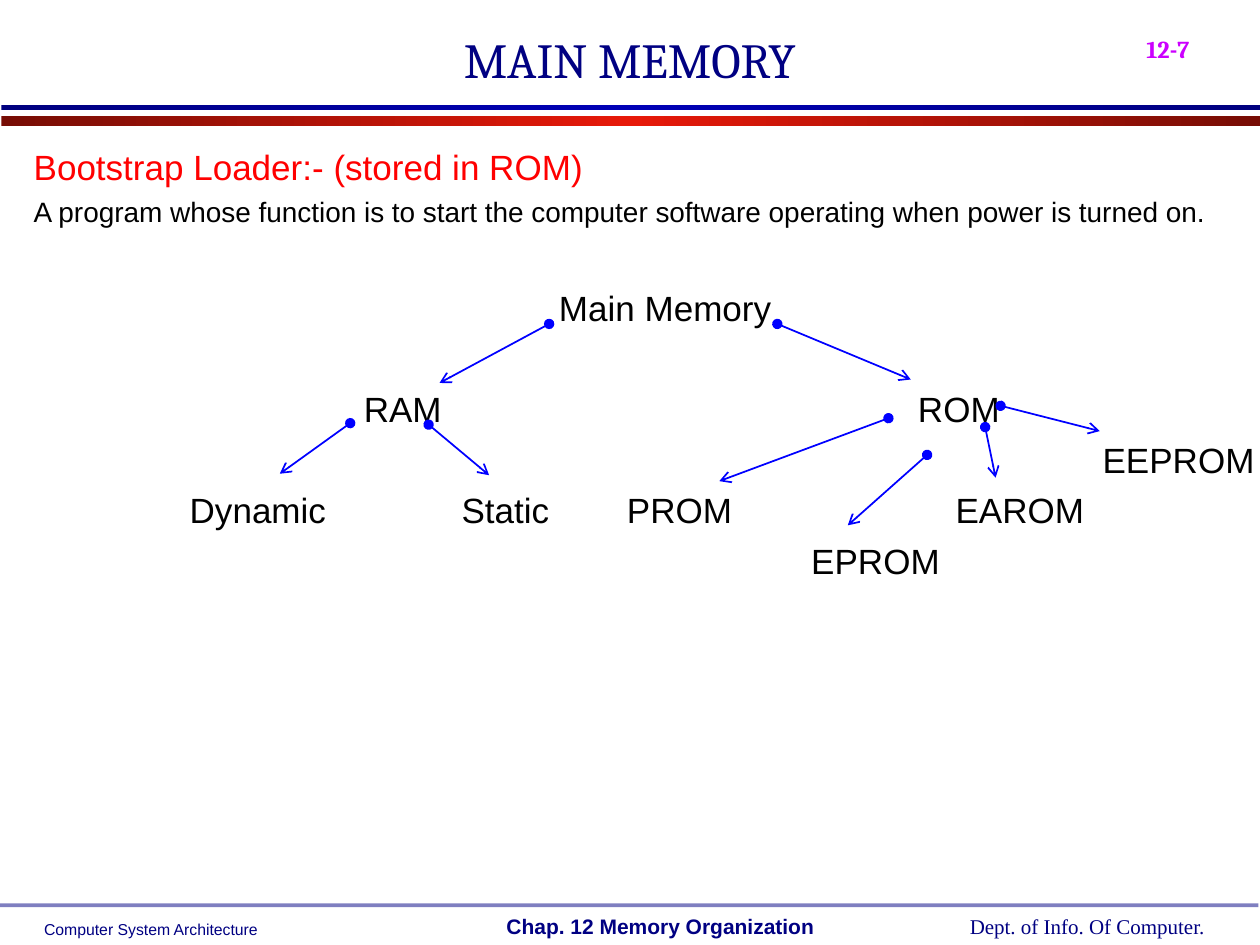
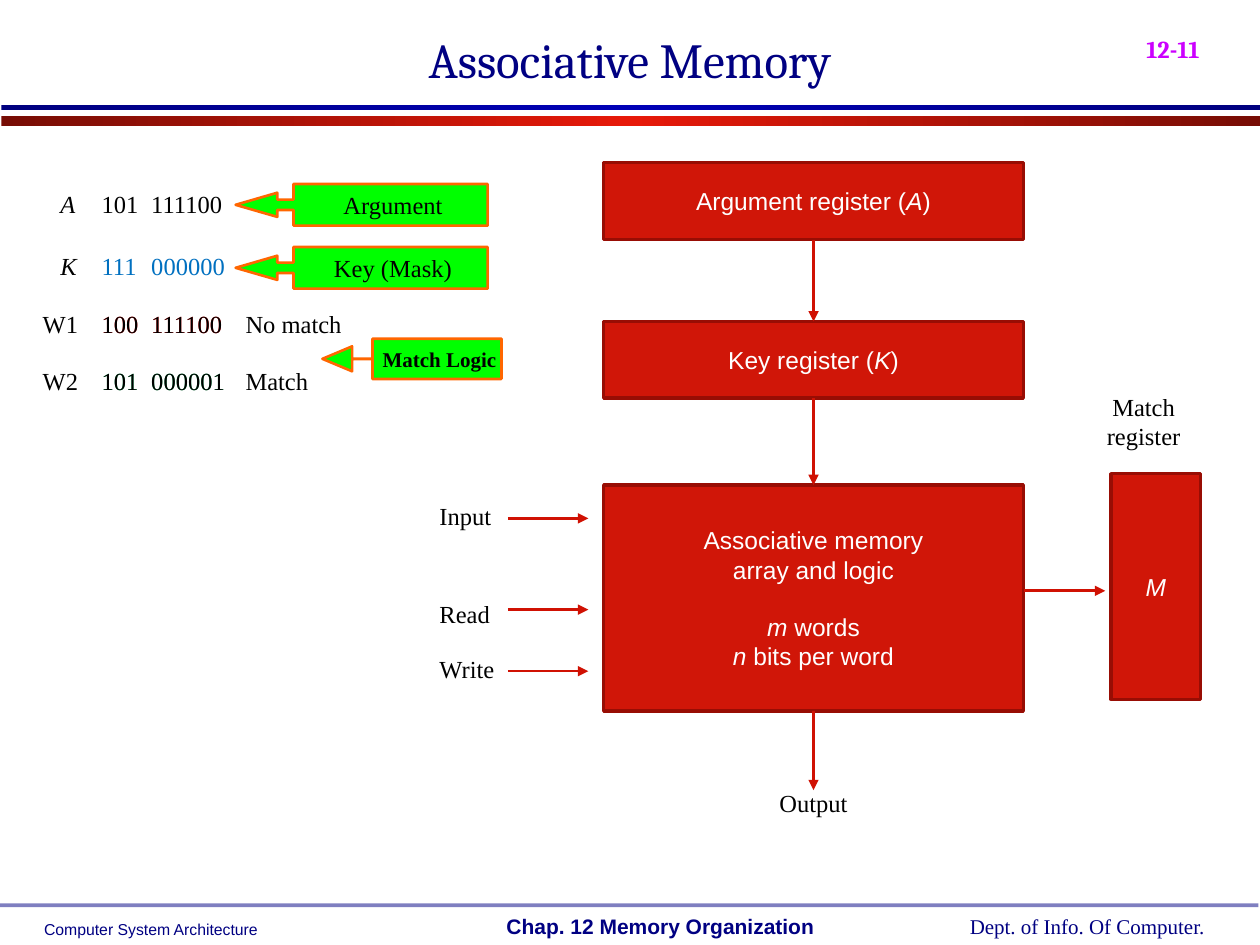
from dataclasses import dataclass
from typing import Any, NamedTuple

from lxml.etree import SubElement
from pptx import Presentation
from pptx.dml.color import RGBColor
from pptx.enum.shapes import MSO_CONNECTOR, MSO_SHAPE
from pptx.enum.text import MSO_ANCHOR, PP_ALIGN
from pptx.oxml.ns import qn
from pptx.util import Cm, Pt


class Face(NamedTuple):
    name: str
    size: float
    tint: str
    bold: bool = False


@dataclass(frozen=True)
class Theme:
    red_band: tuple[str, ...] = ("770D05", "E71909", "770D05")
    blue_band: tuple[str, ...] = ("00007F", "0000B6", "00007F")
    navy: str = "000082"
    block: str = "D01608"
    edge: str = "980D04"
    flow: str = "D01103"
    branch: str = "0000FF"
    flag: str = "00FF00"
    flag_edge: str = "FF6600"
    title: Face = Face("Cambria", 28, "000082")
    number: Face = Face("Cambria", 24, "CC00FF", True)
    course: Face = Face("Arial", 9, "000082")
    school: Face = Face("Times New Roman", 12, "000082")
    chapter: Face = Face("Arial", 12, "000082", True)
    heading: Face = Face("Arial", 20, "FF0000")
    body: Face = Face("Arial", 16, "000000")
    node: Face = Face("Arial", 20, "000000")
    inner: Face = Face("Arial", 14, "FFFFFF")
    label: Face = Face("Times New Roman", 14, "000000")
    strong: Face = Face("Times New Roman", 12, "000000", True)


LOOK = Theme()


class Area(NamedTuple):
    left: float
    top: float
    width: float
    height: float

    def cm(self) -> list[Cm]:
        return [Cm(size) for size in self]


class Line(NamedTuple):
    text: str
    face: Face
    before: float = 0


class Label(NamedTuple):
    text: str
    area: Area
    face: Face = LOOK.label
    align: Any = PP_ALIGN.LEFT


class Node(NamedTuple):
    text: str
    middle: float
    row: int


class Arrow(NamedTuple):
    start: tuple[float, float]
    stop: tuple[float, float]


class Flag(NamedTuple):
    text: str
    area: Area
    bends: tuple[float, ...]
    face: Face = LOOK.label


class Word(NamedTuple):
    name: str
    left: float
    top: float
    bits: str
    tints: tuple[str, ...]
    verdict: str = ""


def apply(target: Any, values: dict[str, Any]) -> None:
    for key, value in values.items():
        setattr(target, key, value)


def write(frame: Any, lines: list[Line], align: Any = PP_ALIGN.LEFT,
          anchor: Any = MSO_ANCHOR.TOP) -> None:
    apply(frame, {"word_wrap": True, "vertical_anchor": anchor})
    for place, line in enumerate(lines):
        part = frame.add_paragraph() if place else frame.paragraphs[0]
        part.alignment = align
        if line.before:
            part.space_before = Pt(line.before)
        for turn, piece in enumerate(line.text.split("*")):
            if not piece:
                continue
            run = part.add_run()
            run.text = piece
            face = line.face
            apply(run.font, {"name": face.name, "size": Pt(face.size),
                             "bold": face.bold, "italic": turn % 2 == 1})
            run.font.color.rgb = RGBColor.from_string(face.tint)


def add_label(page: Any, label: Label, anchor: Any = MSO_ANCHOR.TOP) -> Any:
    box = page.shapes.add_textbox(*label.area.cm())
    write(box.text_frame, [Line(text, label.face) for text in label.text.split("\n")],
          label.align, anchor)
    return box


def add_block(page: Any, kind: Any, area: Area, fill: str, edge: str = "",
              weight: float = 0) -> Any:
    block = page.shapes.add_shape(kind, *area.cm())
    block.shadow.inherit = False
    block.fill.solid()
    block.fill.fore_color.rgb = RGBColor.from_string(fill)
    if edge:
        block.line.color.rgb = RGBColor.from_string(edge)
        block.line.width = Pt(weight)
    else:
        block.line.fill.background()
    return block


def add_band(page: Any, area: Area, tints: tuple[str, ...]) -> Any:
    band = add_block(page, MSO_SHAPE.RECTANGLE, area, tints[0])
    band.fill.gradient()
    band.fill.gradient_angle = 0
    stops = next(band.element.spPr.iter(qn("a:gsLst")))
    stops.clear()
    for place, tint in enumerate(tints):
        stop = SubElement(stops, qn("a:gs"), pos=str(place * 50000))
        SubElement(stop, qn("a:srgbClr"), val=tint)
    return band


def add_arrow(page: Any, arrow: Arrow, tint: str, weight: float,
              ends: dict[str, str]) -> Any:
    points = [Cm(value) for value in arrow.start + arrow.stop]
    link = page.shapes.add_connector(MSO_CONNECTOR.STRAIGHT, *points)
    link.line.color.rgb = RGBColor.from_string(tint)
    link.line.width = Pt(weight)
    shell = link.element.spPr
    for end, kind in ends.items():
        SubElement(shell.find(qn("a:ln")), qn(f"a:{end}"), type=kind)
    SubElement(shell, qn("a:effectLst"))
    return link


def dress(page: Any, layout: Any) -> None:
    for spot in list(layout.placeholders):
        if spot.placeholder_format.idx:
            spot.element.getparent().remove(spot.element)
    rule = add_block(page, MSO_SHAPE.RECTANGLE, Area(0, 18.21, 25.37, 0.08), LOOK.navy)
    tint = next(rule.element.spPr.iter(qn("a:srgbClr")))
    SubElement(tint, qn("a:alpha"), val="50000")
    parts = [
        rule,
        add_band(page, Area(0.03, 2.34, 25.37, 0.2), LOOK.red_band),
        add_band(page, Area(0.03, 2.11, 25.37, 0.1), LOOK.blue_band),
    ]
    feet = [
        Label("Computer System Architecture", Area(0.64, 18.42, 5.2, 0.64), LOOK.course),
        Label("Chap. 12 Memory Organization", Area(9.96, 18.29, 6.83, 0.76),
              LOOK.chapter),
        Label("Dept. of Info. Of Computer.", Area(19.3, 18.29, 5.49, 0.76), LOOK.school),
    ]
    parts += [add_label(page, foot) for foot in feet]
    for part in parts:
        layout.shapes.element.append(part.element)


def start(deck: Any, title: str, number: str) -> Any:
    page = deck.slides.add_slide(deck.slide_layouts[5])
    head = page.shapes.title
    sides = ("left", "top", "width", "height")
    apply(head, dict(zip(sides, Area(1.9, 0, 21.59, 1.9).cm())))
    write(head.text_frame, [Line(title, LOOK.title)], PP_ALIGN.CENTER, MSO_ANCHOR.BOTTOM)
    box = add_label(page, Label(number, Area(22.86, 0, 2.54, 1.42), LOOK.number))
    next(box.element.iter(qn("a:rPr"))).set("baseline", "-25000")
    return page


def draw_tree(page: Any) -> None:
    intro = page.shapes.add_textbox(*Area(0.43, 2.8, 24.8, 2).cm())
    write(intro.text_frame, [
        Line("Bootstrap Loader:- (stored in ROM)", LOOK.heading),
        Line("A program whose function is to start the computer software operating "
             "when power is turned on.", LOOK.body, 4),
    ])
    nodes = [
        Node("Main Memory", 13.41, 0), Node("RAM", 8.12, 2), Node("ROM", 19.33, 2),
        Node("EEPROM", 23.76, 3), Node("Dynamic", 5.2, 4), Node("Static", 10.19, 4),
        Node("PROM", 13.7, 4), Node("EAROM", 20.56, 4), Node("EPROM", 17.65, 5),
    ]
    for node in nodes:
        width = 5 if node.row == 0 else 3.7
        area = Area(node.middle - width / 2, 5.7 + 1.02 * node.row, width, 1)
        add_label(page, Label(node.text, area, LOOK.node, PP_ALIGN.CENTER),
                  MSO_ANCHOR.MIDDLE)
    arrows = [
        Arrow((15.67, 6.53), (18.36, 7.65)), Arrow((11.07, 6.53), (8.86, 7.72)),
        Arrow((7.06, 8.53), (5.64, 9.55)), Arrow((8.64, 8.56), (9.86, 9.58)),
        Arrow((20.17, 8.18), (22.17, 8.69)), Arrow((19.86, 8.61), (20.07, 9.63)),
        Arrow((17.91, 8.43), (14.5, 9.7)), Arrow((18.69, 9.17), (17.09, 10.59)),
    ]
    for arrow in arrows:
        add_arrow(page, arrow, LOOK.branch, 1, {"headEnd": "oval", "tailEnd": "arrow"})


def draw_flow(page: Any) -> None:
    left, width, low = 12.17, 8.46, 1.55
    center = left + width / 2
    face = LOOK.inner
    plans = [
        (Area(left, 3.28, width, low), [Line("Argument register (*A*)", face)]),
        (Area(left, 6.48, width, low), [Line("Key register (*K*)", face)]),
        (Area(left, 9.78, width, 4.55), [
            Line("Associative memory", face), Line("array and logic", face),
            Line("*m* words", face, 16), Line("*n* bits per word", face)]),
        (Area(22.4, 9.55, 1.8, 4.55), [Line("*M*", face)]),
    ]
    blocks = []
    for area, lines in plans:
        block = add_block(page, MSO_SHAPE.RECTANGLE, area, LOOK.block, LOOK.edge, 2)
        write(block.text_frame, lines, PP_ALIGN.CENTER, MSO_ANCHOR.MIDDLE)
        blocks.append(block)

    tip = {"tailEnd": "triangle"}
    downs = [Arrow((center, 4.83), (center, 6.48)), Arrow((center, 8.03), (center, 9.78)),
             Arrow((center, 14.33), (center, 15.93))]
    for place, arrow in enumerate(downs):
        link = add_arrow(page, arrow, LOOK.flow, 1.5, tip)
        link.begin_connect(blocks[place], 2)
        if place < 2:
            link.end_connect(blocks[place + 1], 0)
    sides = [Arrow((10.24, top), (11.86, top)) for top in (10.45, 12.29, 13.53)]
    for arrow in sides + [Arrow((20.65, 11.91), (22.28, 11.91))]:
        add_arrow(page, arrow, LOOK.flow, 1.5, tip)

    labels = [
        Label("Match\nregister", Area(21.77, 7.77, 2.57, 1.45), align=PP_ALIGN.CENTER),
        Label("Output", Area(center - 1.25, 15.77, 2.5, 0.86), align=PP_ALIGN.CENTER),
        Label("Input", Area(8.61, 9.98, 2.06, 0.86)),
        Label("Read", Area(8.61, 11.96, 1.85, 0.86)),
        Label("Write", Area(8.61, 13.06, 1.85, 0.86)),
    ]
    for label in labels:
        add_label(page, label)


def draw_match(page: Any) -> None:
    words = [
        Word("*A*", 0.97, 3.68, "101\t111100", ("000000",)),
        Word("*K*", 0.97, 4.93, "111\t000000", ("0070C0",)),
        Word("W1", 0.61, 6.1, "100\t111100", ("FF0000", "000000"), "No match"),
        Word("W2", 0.61, 7.26, "101\t000001", ("00B050", "000000"), "Match"),
    ]
    for word in words:
        add_label(page, Label(word.name, Area(word.left, word.top, 1.52, 0.86)))
        for tint in word.tints:
            face = LOOK.label._replace(tint=tint)
            box = add_label(page, Label(word.bits, Area(1.8, word.top, 3.2, 0.86), face))
            tabs = SubElement(next(box.element.iter(qn("a:pPr"))), qn("a:tabLst"))
            SubElement(tabs, qn("a:tab"), pos=str(Cm(1)), algn="l")
        if word.verdict:
            add_label(page, Label(word.verdict, Area(4.7, word.top, 3.3, 0.86)))
    wide = (0.25, 0.29, 1, 0.77)
    flags = [
        Flag("Argument", Area(4.75, 3.71, 5.08, 0.84), wide),
        Flag("Key (Mask)", Area(4.75, 4.98, 5.08, 0.84), wide),
        Flag("Match Logic", Area(6.5, 6.83, 3.61, 0.81), (0.01, 0.31, 0.74, 0.72),
             LOOK.strong),
    ]
    for flag in flags:
        shape = add_block(page, MSO_SHAPE.LEFT_ARROW_CALLOUT, flag.area, LOOK.flag,
                          LOOK.flag_edge, 1.5)
        for place, bend in enumerate(flag.bends):
            shape.adjustments[place] = bend
        apply(shape.text_frame, {"margin_left": Cm(0.1), "margin_right": Cm(0)})
        write(shape.text_frame, [Line(flag.text, flag.face)], PP_ALIGN.CENTER,
              MSO_ANCHOR.MIDDLE)


def main() -> None:
    deck = Presentation()
    apply(deck, {"slide_width": Cm(25.4), "slide_height": Cm(19.05)})
    first = start(deck, "MAIN MEMORY", "12-7")
    dress(first, first.slide_layout)
    draw_tree(first)
    second = start(deck, "Associative Memory", "12-11")
    draw_flow(second)
    draw_match(second)
    deck.save("out.pptx")


if __name__ == "__main__":
    main()
